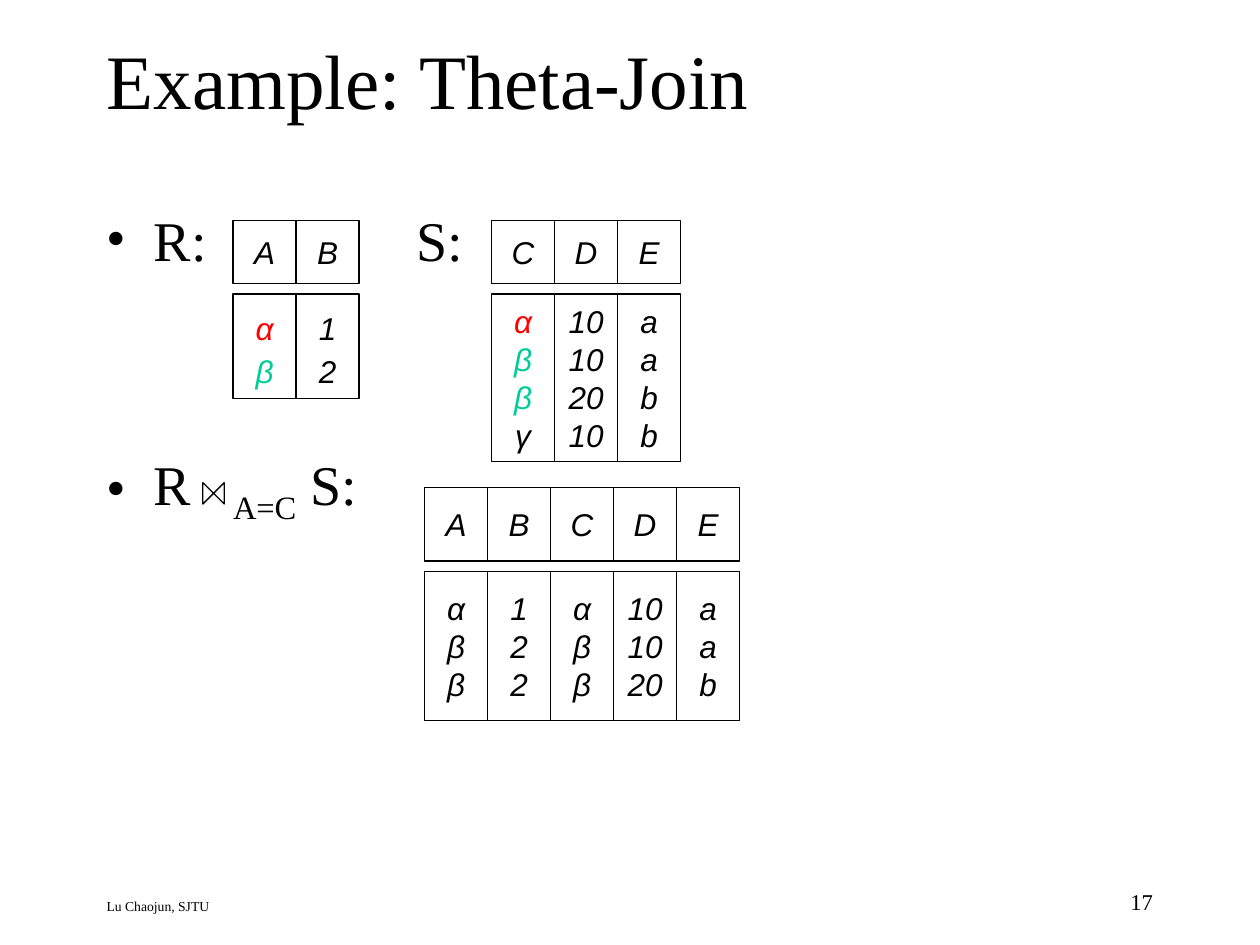
from dataclasses import dataclass

import pptx
import pptx.dml.color
import pptx.enum.shapes
import pptx.enum.text
import pptx.oxml.ns
import pptx.util
from lxml import etree

Cm = pptx.util.Cm
Pt = pptx.util.Pt
ALIGN = pptx.enum.text.PP_ALIGN
ANCHOR = pptx.enum.text.MSO_ANCHOR
SHAPE = pptx.enum.shapes.MSO_SHAPE

SERIF = "Times New Roman"
SANS = "Arial"
BLACK = "000000"
WHITE = "FFFFFF"
RED = "FF0000"
GREEN = "00CC99"
COLUMN_WIDTH = 1.27
HEADER_GAP = 0.21


@dataclass
class Column:
    attribute: str
    values: list[str]


@dataclass
class Relation:
    left: float
    top: float
    header_height: float
    body_height: float
    columns: list[Column]
    highlights: dict[str, str]
    line_spacing: float = 1.0


@dataclass
class Label:
    text: str
    left: float
    top: float
    width: float
    height: float
    size: float
    align: ALIGN = ALIGN.LEFT
    anchor: ANCHOR = ANCHOR.TOP


@dataclass
class Piece:
    text: str
    spacing: float = 0
    subscript: bool = False


def color(value: str) -> pptx.dml.color.RGBColor:
    return pptx.dml.color.RGBColor.from_string(value)


def style(font, name: str, size: float, value: str = BLACK) -> None:
    font.name = name
    font.size = Pt(size)
    font.color.rgb = color(value)


def outline(shape) -> None:
    shape.shadow.inherit = False
    shape.line.color.rgb = color(BLACK)
    shape.line.width = Pt(0.75)


def draw_label(slide, label: Label) -> None:
    box = slide.shapes.add_textbox(
        Cm(label.left), Cm(label.top), Cm(label.width), Cm(label.height))
    frame = box.text_frame
    frame.word_wrap = True
    frame.vertical_anchor = label.anchor
    frame.text = label.text
    frame.paragraphs[0].alignment = label.align
    style(frame.paragraphs[0].runs[0].font, SERIF, label.size)


def draw_cell(slide, left: float, top: float, height: float, lines: list[str],
              highlights: dict[str, str], line_spacing: float) -> None:
    cell = slide.shapes.add_shape(
        SHAPE.RECTANGLE, Cm(left), Cm(top), Cm(COLUMN_WIDTH), Cm(height))
    outline(cell)
    cell.fill.solid()
    cell.fill.fore_color.rgb = color(WHITE)
    frame = cell.text_frame
    frame.word_wrap = False
    frame.vertical_anchor = ANCHOR.MIDDLE
    frame.text = "\n".join(lines)
    for paragraph in frame.paragraphs:
        paragraph.alignment = ALIGN.CENTER
        paragraph.line_spacing = line_spacing
        font = paragraph.runs[0].font
        style(font, SANS, 18, highlights.get(paragraph.text, BLACK))
        font.italic = True


def draw_relation(slide, relation: Relation) -> None:
    body_top = relation.top + relation.header_height + HEADER_GAP
    for index, column in enumerate(relation.columns):
        left = relation.left + index * COLUMN_WIDTH
        draw_cell(slide, left, relation.top, relation.header_height,
                  [column.attribute], {}, 1.0)
        draw_cell(slide, left, body_top, relation.body_height,
                  column.values, relation.highlights, relation.line_spacing)


def write_bullet(paragraph, pieces: list[Piece]) -> None:
    properties = paragraph._p.get_or_add_pPr()
    properties.set("marL", str(Cm(0.95)))
    properties.set("indent", str(Cm(-0.95)))
    typeface = etree.SubElement(properties, pptx.oxml.ns.qn("a:buFont"))
    typeface.set("typeface", SERIF)
    bullet = etree.SubElement(properties, pptx.oxml.ns.qn("a:buChar"))
    bullet.set("char", "•")
    for piece in pieces:
        run = paragraph.add_run()
        run.text = piece.text
        style(run.font, SERIF, 32)
        if piece.spacing:
            run.font._element.set("spc", str(round(piece.spacing * 100)))
        if piece.subscript:
            run.font._element.set("baseline", "-25000")


def draw_expressions(slide) -> None:
    box = slide.shapes.add_textbox(Cm(1.9), Cm(4.01), Cm(21.6), Cm(12.92))
    frame = box.text_frame
    frame.word_wrap = True
    write_bullet(frame.paragraphs[0],
                 [Piece("R:"), Piece(" ", spacing=112), Piece("S:")])
    join = frame.add_paragraph()
    join.space_before = Pt(101.5)
    write_bullet(join, [Piece("R"), Piece(" ", spacing=16),
                        Piece("A=C", subscript=True), Piece(" S:")])


def draw_join_symbol(slide) -> None:
    symbol = slide.shapes.add_shape(
        SHAPE.FLOWCHART_COLLATE, Cm(4.09), Cm(9.73), Cm(0.43), Cm(0.43))
    symbol.rotation = 270
    symbol.fill.background()
    outline(symbol)


LABELS = [
    Label("Lu Chaojun, SJTU", 1.9, 17.98, 14.73, 0.64, 7.8),
    Label("17", 18.21, 17.78, 5.28, 0.84, 12.9, align=ALIGN.RIGHT),
    Label("Example: Theta-Join", 1.9, 0, 21.6, 3.18, 44, anchor=ANCHOR.MIDDLE),
]

MATCHES = {"α": RED, "β": GREEN}

RELATIONS = [
    Relation(4.7, 4.45, 1.27, 2.11,
             [Column("A", ["α", "β"]), Column("B", ["1", "2"])],
             MATCHES, line_spacing=1.15),
    Relation(9.91, 4.45, 1.27, 3.38,
             [Column("C", ["α", "β", "β", "γ"]),
              Column("D", ["10", "10", "20", "10"]),
              Column("E", ["a", "a", "b", "b"])],
             MATCHES),
    Relation(8.56, 9.83, 1.48, 3,
             [Column("A", ["α", "β", "β"]),
              Column("B", ["1", "2", "2"]),
              Column("C", ["α", "β", "β"]),
              Column("D", ["10", "10", "20"]),
              Column("E", ["a", "a", "b"])],
             {}),
]


def main() -> None:
    deck = pptx.Presentation()
    deck.slide_width = Cm(25.4)
    deck.slide_height = Cm(19.05)
    slide = deck.slides.add_slide(deck.slide_layouts[6])
    for label in LABELS:
        draw_label(slide, label)
    draw_expressions(slide)
    for relation in RELATIONS:
        draw_relation(slide, relation)
    draw_join_symbol(slide)
    deck.save("out.pptx")


if __name__ == "__main__":
    main()
